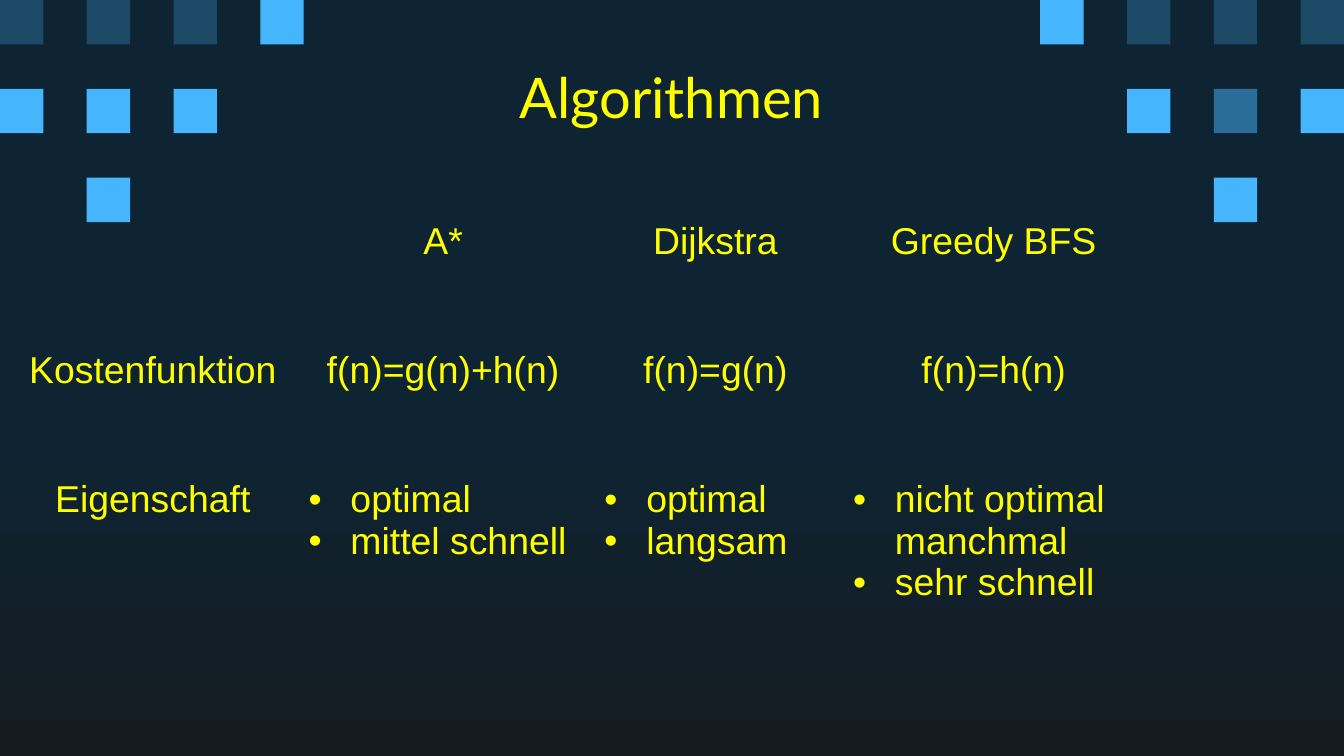
import pptx
import pptx.util
import pptx.dml.color
import pptx.enum.shapes
import pptx.enum.text
import pptx.oxml.ns
from lxml import etree

Cm = pptx.util.Cm
Pt = pptx.util.Pt
RGB = pptx.dml.color.RGBColor.from_string
ALIGN = pptx.enum.text.PP_ALIGN
qn = pptx.oxml.ns.qn

# Content: plain strings are centred, lists become bullets
TITLE = "Algorithmen"
ROWS = [
    ["", "A*", "Dijkstra", "Greedy BFS"],
    ["Kostenfunktion", "f(n)=g(n)+h(n)", "f(n)=g(n)", "f(n)=h(n)"],
    ["Eigenschaft", ["optimal", "mittel schnell"], ["optimal", "langsam"],
     ["nicht optimal manchmal", "sehr schnell"]],
]

# Corner squares, read from the slide edge inwards
LEFT_SQUARES = ["DDDB", "BBB", ".B"]
RIGHT_SQUARES = ["DDDB", "BMB", ".B"]

THEME = {
    "text": "FFFF00", "bg_top": "0E2433", "bg_bottom": "141C21",
    "squares": {"D": "1C4966", "M": "296D98", "B": "45B6FE"},
    "title_font": "Lato", "title_size": 30,
    "body_font": "Arial", "body_size": 20,
}

# Geometry in centimetres
SLIDE_W, SLIDE_H = 25.4, 14.29
SQUARE_W, SQUARE_H, STEP_X, STEP_Y = 0.82, 0.84, 1.64, 1.68
TITLE_BOX = (5.03, 0.86, 15.32, 1.93)
TABLE_LEFT, TABLE_TOP = 0.2, 4.04
COL_WIDTHS = [5.38, 5.59, 4.7, 5.82]
ROW_HEIGHTS = [2.44, 2.44, 3.4]
BULLET_INDENT = 0.79
NO_GRID_STYLE = "{2D5ABB26-0587-4C30-8999-92F81FD0307C}"


def write(p, text, font=THEME["body_font"], size=THEME["body_size"],
          color=THEME["text"], align=ALIGN.CENTER, bullet=False):
    p.alignment = ALIGN.LEFT if bullet else align
    if bullet:
        pPr = p._p.get_or_add_pPr()
        pPr.set("marL", str(Cm(BULLET_INDENT)))
        pPr.set("indent", str(-Cm(BULLET_INDENT)))
        clr = etree.SubElement(pPr, qn("a:buClr"))
        etree.SubElement(clr, qn("a:srgbClr"), val=color)
        etree.SubElement(pPr, qn("a:buFont"), typeface=font)
        etree.SubElement(pPr, qn("a:buChar"), char="•")
    r = p.add_run()
    r.text = text
    r.font.name, r.font.size = font, Pt(size)
    r.font.color.rgb = RGB(color)


def add_squares(s, pattern, from_right=False):
    for row, codes in enumerate(pattern):
        for col, code in enumerate(codes):
            if code == ".":
                continue
            x = col * STEP_X
            if from_right:
                x = SLIDE_W - SQUARE_W - x
            sp = s.shapes.add_shape(
                pptx.enum.shapes.MSO_SHAPE.RECTANGLE, Cm(x),
                Cm(row * STEP_Y), Cm(SQUARE_W), Cm(SQUARE_H))
            sp.shadow.inherit = False
            sp.fill.solid()
            sp.fill.fore_color.rgb = RGB(THEME["squares"][code])
            sp.line.fill.background()


def add_title(s):
    sp = s.shapes.title
    sp.left, sp.top, sp.width, sp.height = map(Cm, TITLE_BOX)
    tf = sp.text_frame
    tf.vertical_anchor = pptx.enum.text.MSO_ANCHOR.MIDDLE
    write(tf.paragraphs[0], TITLE, font=THEME["title_font"],
          size=THEME["title_size"])


def add_comparison(s):
    table = s.shapes.add_table(
        len(ROWS), len(COL_WIDTHS), Cm(TABLE_LEFT), Cm(TABLE_TOP),
        Cm(sum(COL_WIDTHS)), Cm(sum(ROW_HEIGHTS))).table
    table.first_row = table.horz_banding = False
    table._tbl.tblPr.find(qn("a:tableStyleId")).text = NO_GRID_STYLE
    for column, width in zip(table.columns, COL_WIDTHS):
        column.width = Cm(width)
    for i, (row, height) in enumerate(zip(ROWS, ROW_HEIGHTS)):
        table.rows[i].height = Cm(height)
        for j, content in enumerate(row):
            cell = table.cell(i, j)
            cell.fill.background()
            bullet = isinstance(content, list)
            lines = content if bullet else [content]
            tf = cell.text_frame
            for k, line in enumerate(lines):
                p = tf.add_paragraph() if k else tf.paragraphs[0]
                if line:
                    write(p, line, bullet=bullet)


def main():
    prs = pptx.Presentation()
    prs.slide_width, prs.slide_height = Cm(SLIDE_W), Cm(SLIDE_H)
    s = prs.slides.add_slide(prs.slide_layouts[5])

    # Background: flat to just past the middle, then darker
    fill = s.background.fill
    fill.gradient()
    fill.gradient_angle = 270
    stops = [(0.56, THEME["bg_top"]), (1, THEME["bg_bottom"])]
    for stop, (position, color) in zip(fill.gradient_stops, stops):
        stop.position = position
        stop.color.rgb = RGB(color)

    add_squares(s, LEFT_SQUARES)
    add_squares(s, RIGHT_SQUARES, from_right=True)
    add_title(s)
    add_comparison(s)
    prs.save("out.pptx")


if __name__ == "__main__":
    main()
